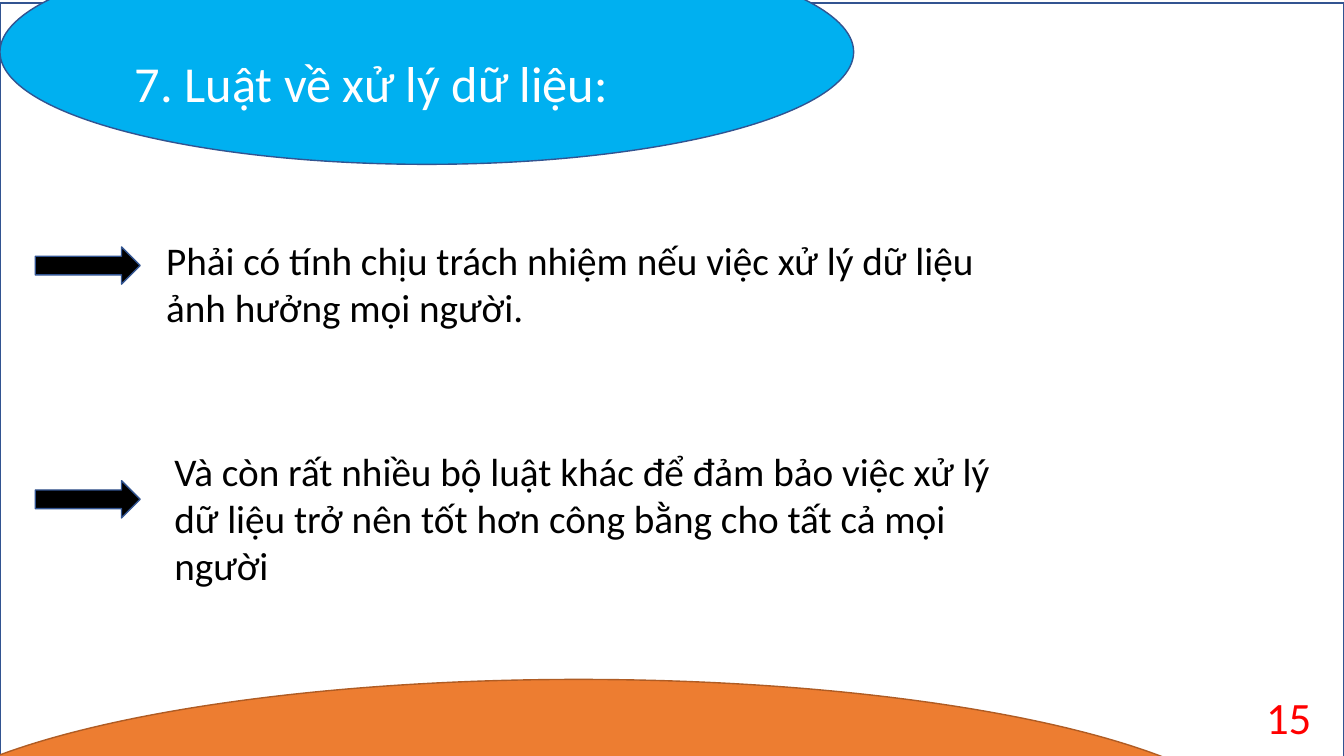
from pptx import Presentation
from pptx.dml.color import RGBColor
from pptx.enum.shapes import MSO_SHAPE
from pptx.enum.text import MSO_ANCHOR, PP_ALIGN
from pptx.util import Pt

# Content
TITLE = "7. Luật về xử lý dữ liệu:"
PAGE_NUMBER = "15"
# Each point: wording, arrow top, text box (left, top, width, height)
POINTS = [
    ("Phải có tính chịu trách nhiệm nếu việc xử lý dữ liệu ảnh hưởng mọi người.",
     176.4, (111.6, 164.9, 617, 97.2)),
    ("Và còn rất nhiều bộ luật khác để đảm bảo việc xử lý dữ liệu trở nên tốt hơn "
     "công bằng cho tất cả mọi người",
     343.4, (117.4, 316.1, 606.2, 108.7)),
]

THEME = {
    "font": "Calibri",
    "white": "FFFFFF", "black": "000000", "red": "FF0000",
    "sky": "00B0F0", "orange": "ED7D31",
    "blue_line": "325491", "orange_line": "AF5C24",
    "title_size": 36, "body_size": 28, "number_size": 32,
}

# Layout
SLIDE_WIDTH, SLIDE_HEIGHT = 960, 540
ARROW_LEFT, ARROW_WIDTH, ARROW_HEIGHT = 25.2, 74.9, 26.6
TITLE_DROP = 47.6  # top inset that lowers the title inside its ellipse


def color(name):
    return RGBColor.from_string(THEME[name])


def add_outlined(parent, kind, area, fill, line):
    shape = parent.add_shape(kind, *map(Pt, area))
    shape.shadow.inherit = False
    shape.fill.solid()
    shape.fill.fore_color.rgb = color(fill)
    shape.line.color.rgb = color(line)
    shape.line.width = Pt(1)
    return shape


def write(box, text, size, ink, align=PP_ALIGN.LEFT, anchor=MSO_ANCHOR.TOP):
    frame = box.text_frame
    frame.word_wrap = True
    frame.vertical_anchor = anchor
    para = frame.paragraphs[0]
    para.alignment = align
    span = para.add_run()
    span.text = text
    span.font.name = THEME["font"]
    span.font.size = Pt(THEME[size])
    span.font.color.rgb = color(ink)


deck = Presentation()
deck.slide_width, deck.slide_height = Pt(SLIDE_WIDTH), Pt(SLIDE_HEIGHT)
page = deck.slides.add_slide(deck.slide_layouts[6])

# Framed backdrop
add_outlined(page.shapes, MSO_SHAPE.RECTANGLE,
             (0, 2.2, SLIDE_WIDTH, SLIDE_HEIGHT), "white", "blue_line")

# Title ellipse
banner = add_outlined(page.shapes, MSO_SHAPE.OVAL,
                      (0, -43.2, 609.8, 160.6), "sky", "blue_line")
banner.text_frame.margin_top = Pt(TITLE_DROP)
write(banner, TITLE, "title_size", "white", anchor=MSO_ANCHOR.MIDDLE)

# Bottom ellipse and page number
add_outlined(page.shapes, MSO_SHAPE.OVAL,
             (-79.2, 485.3, 985, 236.2), "orange", "orange_line")
number = page.shapes.add_textbox(Pt(727.9), Pt(497.5), Pt(216), Pt(28.8))
write(number, PAGE_NUMBER, "number_size", "red", PP_ALIGN.RIGHT, MSO_ANCHOR.MIDDLE)

# Points: an arrow grouped with its text
for text, arrow_top, area in POINTS:
    group = page.shapes.add_group_shape()
    add_outlined(group.shapes, MSO_SHAPE.RIGHT_ARROW,
                 (ARROW_LEFT, arrow_top, ARROW_WIDTH, ARROW_HEIGHT),
                 "black", "blue_line")
    box = group.shapes.add_textbox(*map(Pt, area))
    write(box, text, "body_size", "black")

deck.save("out.pptx")
